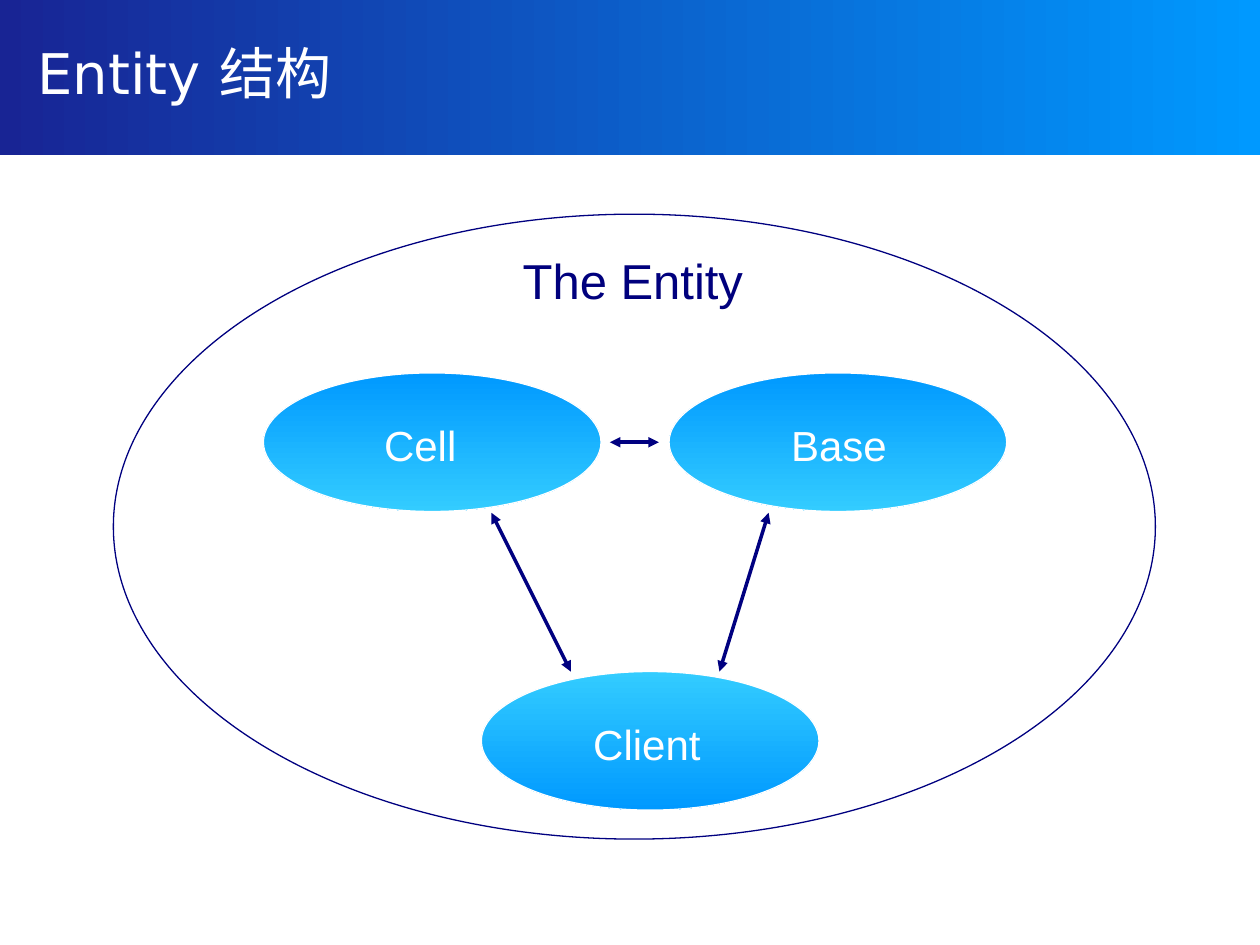
from lxml import etree
from pptx import Presentation
from pptx.dml.color import RGBColor
from pptx.enum.shapes import MSO_CONNECTOR, MSO_SHAPE
from pptx.enum.text import MSO_ANCHOR
from pptx.oxml.ns import qn
from pptx.util import Inches, Pt

RECTANGLE, ELLIPSE = MSO_SHAPE.RECTANGLE, MSO_SHAPE.OVAL
STRAIGHT = MSO_CONNECTOR.STRAIGHT
TOP, MIDDLE = MSO_ANCHOR.TOP, MSO_ANCHOR.MIDDLE
RIGHTWARD, DOWNWARD = 0, 270

COLORS = {
    "night": "182494",
    "azure": "0099FF",
    "sky": "33CCFF",
    "navy": "000080",
    "heading": "00007D",
    "white": "FFFFFF",
}
PART_WIDTH, PART_HEIGHT = 2.68, 1.1


def rgb(name):
    return RGBColor.from_string(COLORS[name])


def write(frame, text, size=24, font="Arial", color="white", anchor=TOP):
    frame.word_wrap = True
    frame.vertical_anchor = anchor
    run = frame.paragraphs[0].add_run()
    run.text = text
    run.font.size = Pt(size)
    run.font.name = font
    run.font.color.rgb = rgb(color)


class EntitySlide:
    """Draws the parts of the entity diagram in one style."""

    def __init__(self, slide):
        self.shapes = slide.shapes

    def shape(self, kind, left, top, width, height, gradient=None, angle=DOWNWARD, line=None):
        outline = self.shapes.add_shape(
            kind, Inches(left), Inches(top), Inches(width), Inches(height))
        outline.shadow.inherit = False
        if gradient:
            outline.fill.gradient()
            outline.fill.gradient_angle = angle
            for stop, color in zip(outline.fill.gradient_stops, gradient):
                stop.color.rgb = rgb(color)
        else:
            outline.fill.background()
        if line:
            outline.line.color.rgb = rgb(line)
            outline.line.width = Pt(0.75)
        else:
            outline.line.fill.background()

    def label(self, text, left, top, width, height, **style):
        box = self.shapes.add_textbox(
            Inches(left), Inches(top), Inches(width), Inches(height))
        write(box.text_frame, text, **style)

    def double_arrow(self, start, end):
        arrow = self.shapes.add_connector(STRAIGHT, *map(Inches, start + end))
        arrow.line.color.rgb = rgb("navy")
        arrow.line.width = Pt(2)
        for tip in ("a:headEnd", "a:tailEnd"):
            etree.SubElement(arrow.line._get_or_add_ln(), qn(tip), type="triangle")
        etree.SubElement(arrow._element.spPr, qn("a:effectLst"))


def main():
    presentation = Presentation()
    presentation.slide_width = Inches(10)
    presentation.slide_height = Inches(7.5)
    page = EntitySlide(presentation.slides.add_slide(presentation.slide_layouts[6]))

    page.shape(RECTANGLE, 0, 0, 10, 1.23, ("night", "azure"), RIGHTWARD)
    page.label("Entity 结构", 0.2, 0, 9.57, 1.15,
               size=32, font="DejaVu Sans", anchor=MIDDLE)

    falling, rising = ("azure", "sky"), ("sky", "azure")
    parts = [
        ("Cell", 2.09, 2.96, falling, 2.95),
        ("Base", 5.31, 2.96, falling, 6.18),
        ("Client", 3.82, 5.33, rising, 4.61),
    ]
    for name, left, top, gradient, name_left in parts:
        page.shape(ELLIPSE, left, top, PART_WIDTH, PART_HEIGHT, gradient, line="white")
        page.label(name, name_left, top + 0.32, 1.97, 0.5)

    page.shape(ELLIPSE, 0.9, 1.7, 8.27, 4.96, line="navy")
    page.label("The Entity", 4.05, 1.94, 2.68, 0.57, size=28, color="heading")

    page.double_arrow((6.1, 4.07), (5.71, 5.33))
    page.double_arrow((5.23, 3.51), (4.84, 3.51))
    page.double_arrow((3.9, 4.07), (4.53, 5.33))

    presentation.save("out.pptx")


if __name__ == "__main__":
    main()
